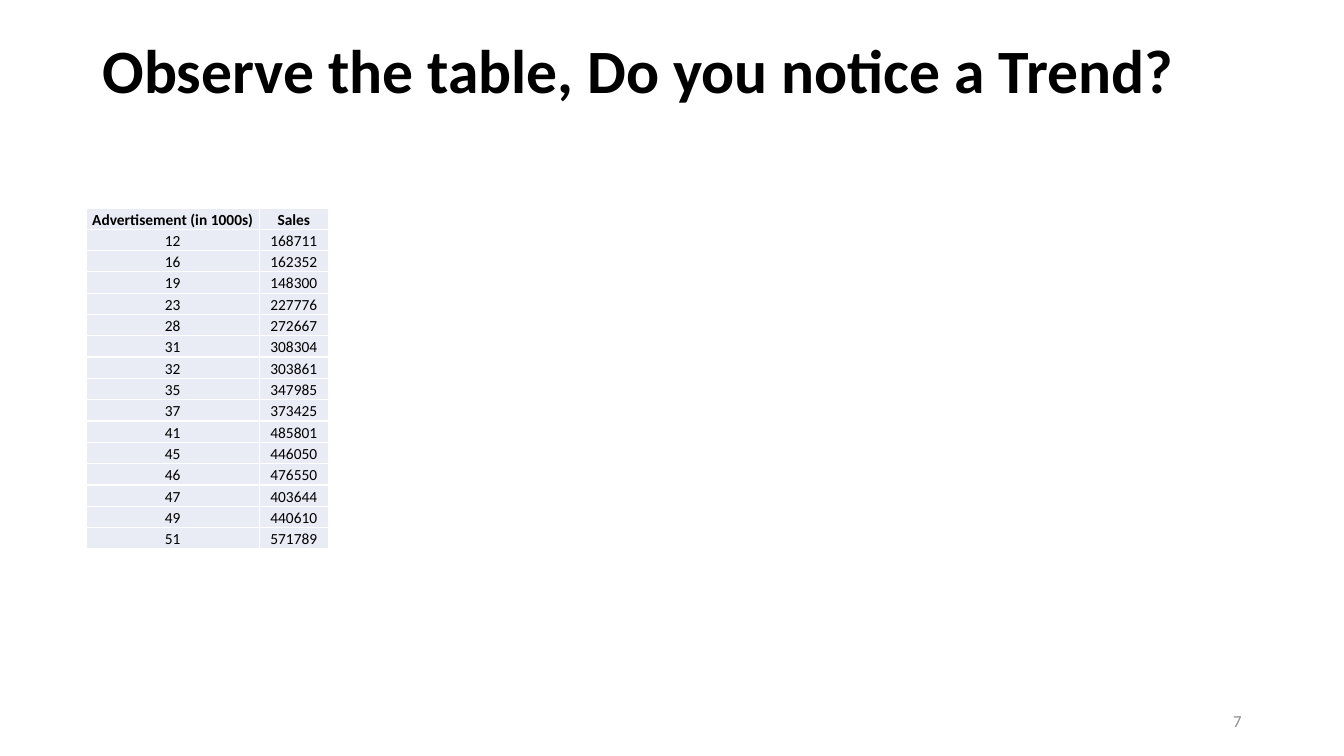
from typing import NamedTuple

from lxml.etree import SubElement
from pptx import Presentation
from pptx.dml.color import RGBColor
from pptx.enum.text import MSO_ANCHOR, MSO_AUTO_SIZE, PP_ALIGN
from pptx.oxml.ns import qn
from pptx.util import Pt

FONT = "Calibri"
CELL_FILL = "E9EBF5"
COLUMN_WIDTHS = (124, 49)
ROW_HEIGHT = 15.25


class Record(NamedTuple):
    advertisement: str
    sales: str


RECORDS = [
    Record("Advertisement (in 1000s)", "Sales"),
    Record("12", "168711"),
    Record("16", "162352"),
    Record("19", "148300"),
    Record("23", "227776"),
    Record("28", "272667"),
    Record("31", "308304"),
    Record("32", "303861"),
    Record("35", "347985"),
    Record("37", "373425"),
    Record("41", "485801"),
    Record("45", "446050"),
    Record("46", "476550"),
    Record("47", "403644"),
    Record("49", "440610"),
    Record("51", "571789"),
]


def rgb(color: str) -> RGBColor:
    return RGBColor.from_string(color)


def format_paragraph(p, size: float, align, color: str = "000000", bold: bool = False) -> None:
    p.alignment = align
    p.font.name = FONT
    p.font.size = Pt(size)
    p.font.bold = bold
    p.font.color.rgb = rgb(color)


def place(sp, left: float, top: float, width: float, height: float) -> None:
    sp.left, sp.top = Pt(left), Pt(top)
    sp.width, sp.height = Pt(width), Pt(height)


def add_title(s, text: str) -> None:
    sp = s.shapes.title
    place(sp, 66, 0, 828, 104.4)
    tf = sp.text_frame
    tf.text = text
    tf.auto_size = MSO_AUTO_SIZE.NONE
    tf.vertical_anchor = MSO_ANCHOR.MIDDLE
    p = tf.paragraphs[0]
    p.line_spacing = 0.9
    format_paragraph(p, 44, PP_ALIGN.LEFT, bold=True)


def add_slide_number(s, number: str) -> None:
    tf = s.shapes.add_textbox(Pt(678), Pt(500.5), Pt(216), Pt(28.75)).text_frame
    tf.word_wrap = True
    tf.vertical_anchor = MSO_ANCHOR.MIDDLE
    tf.text = number
    format_paragraph(tf.paragraphs[0], 12, PP_ALIGN.RIGHT, "8C8C8C")


def set_borders(cell, color: str, width: float) -> None:
    properties = cell._tc.get_or_add_tcPr()
    for side in ("a:lnL", "a:lnR", "a:lnT", "a:lnB"):
        line = SubElement(properties, qn(side), w=str(Pt(width)))
        SubElement(SubElement(line, qn("a:solidFill")), qn("a:srgbClr"), val=color)


def fill_cell(cell, text: str, bold: bool) -> None:
    set_borders(cell, "FFFFFF", 1)
    cell.fill.solid()
    cell.fill.fore_color.rgb = rgb(CELL_FILL)
    cell.margin_left = cell.margin_right = cell.margin_top = Pt(0.75)
    cell.margin_bottom = 0
    cell.vertical_anchor = MSO_ANCHOR.BOTTOM
    cell.text = text
    format_paragraph(cell.text_frame.paragraphs[0], 11, PP_ALIGN.CENTER, bold=bold)


def add_sales_table(s, records: list[Record]) -> None:
    table = s.shapes.add_table(
        len(records), len(COLUMN_WIDTHS), Pt(61.4), Pt(148.5),
        Pt(sum(COLUMN_WIDTHS)), Pt(ROW_HEIGHT * len(records)),
    ).table
    for column, width in zip(table.columns, COLUMN_WIDTHS):
        column.width = Pt(width)
    for i, record in enumerate(records):
        table.rows[i].height = Pt(ROW_HEIGHT)
        for j, text in enumerate(record):
            fill_cell(table.cell(i, j), text, bold=i == 0)


def main() -> None:
    prs = Presentation()
    prs.slide_width, prs.slide_height = Pt(960), Pt(540)
    s = prs.slides.add_slide(prs.slide_layouts.get_by_name("Title Only"))
    add_title(s, "Observe the table, Do you notice a Trend?")
    add_slide_number(s, "7")
    add_sales_table(s, RECORDS)
    prs.save("out.pptx")


if __name__ == "__main__":
    main()
